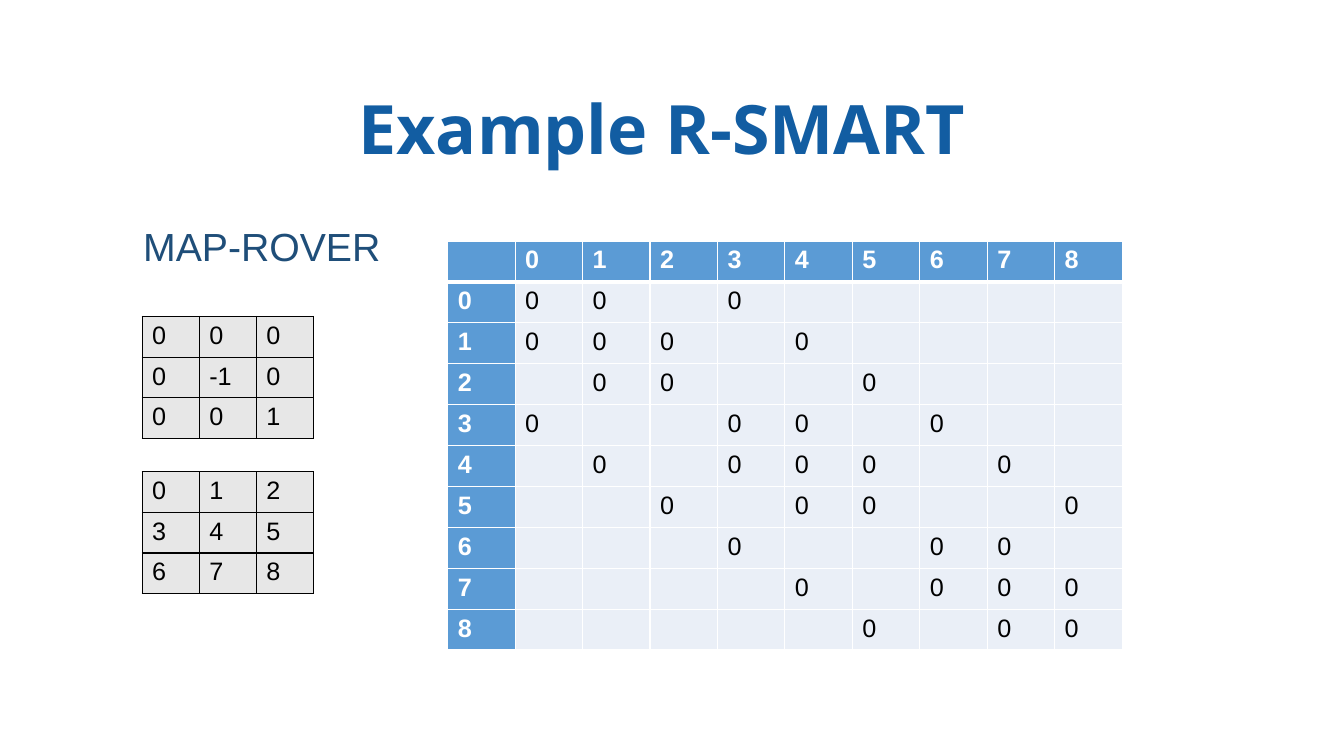
"""Builds the R-SMART example slide: two rover grids and their adjacency matrix."""
from dataclasses import dataclass
from typing import Any

import pptx
import pptx.dml.color
import pptx.enum.text
import pptx.oxml
import pptx.oxml.ns
import pptx.util
from pptx.util import Inches

COLORS = {
    "title": "125DA2",
    "heading": "1F4E79",
    "header": "5B9BD5",
    "matrix": "EAEFF7",
    "grid": "E7E7E7",
    "white": "FFFFFF",
    "black": "000000",
}
SIDE = 3
STATES = range(SIDE * SIDE)


@dataclass
class NumberTable:
    """A table of short numbers, with or without header row and column."""
    rows: list[list[str]]
    left: float
    top: float
    width: float
    height: float
    fill: str
    border: str
    headers: bool = False


def set_format(target: Any, values: dict[str, Any]) -> None:
    """Set each named attribute of the target."""
    for name, value in values.items():
        setattr(target, name, value)


def rgb(color: str) -> pptx.dml.color.RGBColor:
    """Look up a colour by its name."""
    return pptx.dml.color.RGBColor.from_string(COLORS[color])


def style_run(run: Any, font: str, size: float, color: str, bold: bool = False) -> None:
    """Give a run its font, size, colour and weight."""
    set_format(run.font, {"name": font, "size": pptx.util.Pt(size), "bold": bold})
    run.font.color.rgb = rgb(color)


def add_borders(cell: Any, color: str, widths: dict[str, float]) -> None:
    """Draw the four borders of a cell, ahead of its fill in the XML."""
    properties = cell._tc.get_or_add_tcPr()
    for index, (side, width) in enumerate(widths.items()):
        properties.insert(index, pptx.oxml.parse_xml(
            f'<a:ln{side} {pptx.oxml.ns.nsdecls("a")} w="{pptx.util.Pt(width)}">'
            f'<a:solidFill><a:srgbClr val="{COLORS[color]}"/></a:solidFill></a:ln{side}>'))


def add_number_table(slide: Any, spec_table: NumberTable) -> None:
    """Add a table with equal columns and equal rows."""
    data = spec_table
    table = slide.shapes.add_table(
        len(data.rows), len(data.rows[0]), Inches(data.left), Inches(data.top),
        Inches(data.width), Inches(data.height)).table
    set_format(table, {"first_row": data.headers, "first_col": data.headers,
                       "horz_banding": False})
    for row, numbers in enumerate(data.rows):
        for column, number in enumerate(numbers):
            cell = table.cell(row, column)
            is_header = data.headers and 0 in (row, column)
            cell.fill.solid()
            cell.fill.fore_color.rgb = rgb("header" if is_header else data.fill)
            add_borders(cell, data.border, {
                "L": 1, "R": 1,
                "T": 3 if data.headers and row == 1 else 1,
                "B": 3 if data.headers and row == 0 else 1})
            if number:
                run = cell.text_frame.paragraphs[0].add_run()
                run.text = number
                style_run(run, "Arial", 18, "white" if is_header else "black", is_header)


def fill_placeholder(shape: Any, text: str, box: dict[str, Any], frame: dict[str, Any],
                     paragraph: dict[str, Any], font: dict[str, Any]) -> None:
    """Move a placeholder and write one formatted line in it."""
    set_format(shape, box)
    set_format(shape.text_frame, {
        "word_wrap": True, "auto_size": pptx.enum.text.MSO_AUTO_SIZE.NONE, **frame})
    line = shape.text_frame.paragraphs[0]
    set_format(line, {"space_before": pptx.util.Pt(0), **paragraph})
    run = line.add_run()
    run.text = text
    style_run(run, **font)


def transition(start: int, end: int) -> str:
    """Mark pairs of states that are the same or side by side in the grid."""
    (row, column), (end_row, end_column) = divmod(start, SIDE), divmod(end, SIDE)
    return "0" if abs(row - end_row) + abs(column - end_column) <= 1 else ""


presentation = pptx.Presentation()
set_format(presentation, {"slide_width": Inches(13.33), "slide_height": Inches(7.5)})
slide = presentation.slides.add_slide(presentation.slide_layouts[1])

title, map_heading = slide.placeholders
fill_placeholder(
    title, "Example R-SMART",
    {"left": Inches(-0.1), "top": Inches(0.73), "width": Inches(13.33), "height": Inches(1)},
    {"vertical_anchor": pptx.enum.text.MSO_ANCHOR.BOTTOM},
    {"alignment": pptx.enum.text.PP_ALIGN.CENTER, "line_spacing": 0.9},
    {"font": "Open Sans", "size": 48.6, "color": "title", "bold": True})
fill_placeholder(
    map_heading, "MAP-ROVER",
    {"left": Inches(0.32), "top": Inches(2.09), "width": Inches(12.69), "height": Inches(0.6)},
    {"vertical_anchor": pptx.enum.text.MSO_ANCHOR.TOP},
    {"level": 2, "line_spacing": 1.15},
    {"font": "Arial", "size": 28, "color": "heading"})
heading_properties = map_heading.text_frame.paragraphs[0]._p.get_or_add_pPr()
heading_properties.set("marL", str(Inches(1)))
heading_properties.set("indent", "0")
heading_properties.append(
    pptx.oxml.parse_xml(f'<a:buNone {pptx.oxml.ns.nsdecls("a")}/>'))

rewards = [["0", "0", "0"], ["0", "-1", "0"], ["0", "0", "1"]]
state_numbers = [[str(row * SIDE + column) for column in range(SIDE)] for row in range(SIDE)]
transitions = [["", *map(str, STATES)]] + [
    [str(start), *(transition(start, end) for end in STATES)] for start in STATES]

for number_table in (
    NumberTable(rewards, 1.41, 3.14, 1.7, 1.21, "grid", "black"),
    NumberTable(state_numbers, 1.41, 4.68, 1.7, 1.21, "grid", "black"),
    NumberTable(transitions, 4.44, 2.39, 6.69, 4.06, "matrix", "white", headers=True),
):
    add_number_table(slide, number_table)

presentation.save("out.pptx")
